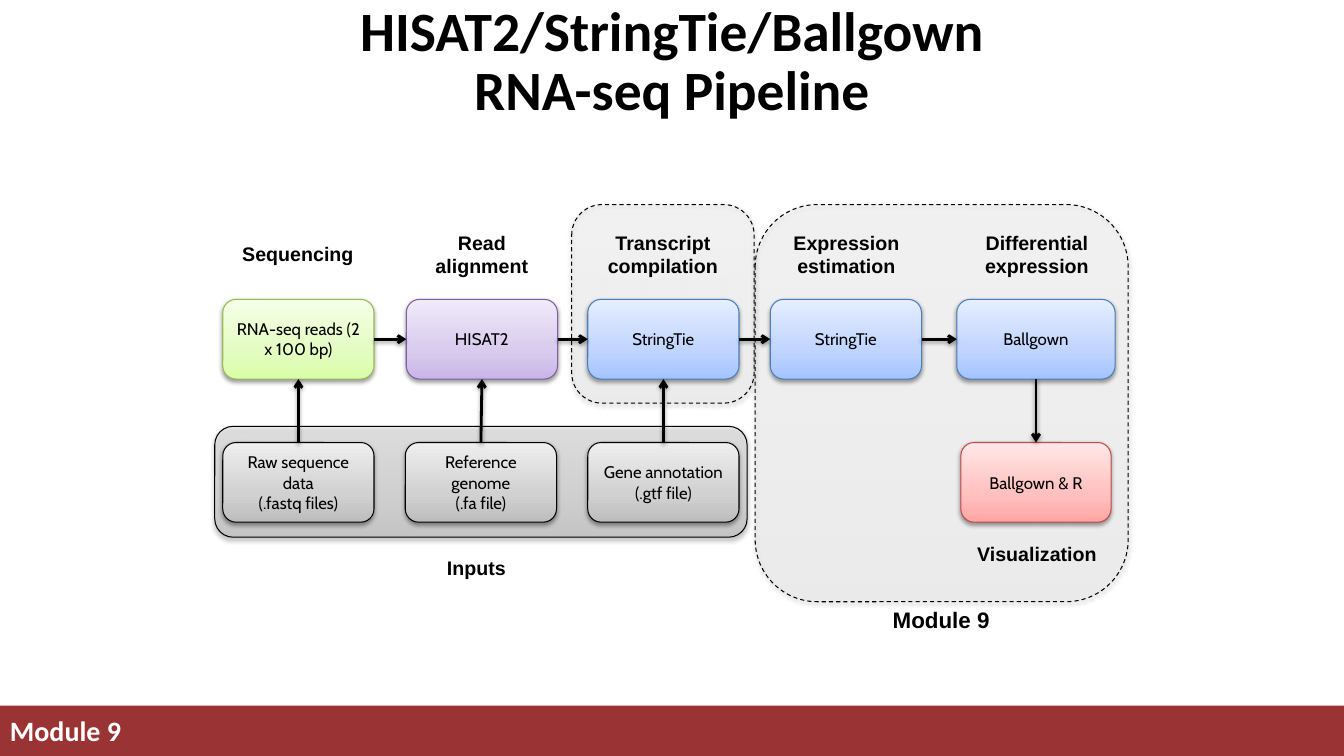
"""Build the RNA-seq pipeline slide with its stages, inputs and module frames."""
from lxml import etree
from pptx import Presentation
from pptx.dml.color import RGBColor
from pptx.enum.dml import MSO_LINE
from pptx.enum.shapes import MSO_CONNECTOR, MSO_SHAPE
from pptx.enum.text import MSO_ANCHOR, MSO_AUTO_SIZE, PP_ALIGN
from pptx.oxml import parse_xml
from pptx.oxml.ns import nsdecls, qn
from pptx.util import Inches, Pt

BLACK = RGBColor(0x00, 0x00, 0x00)
WHITE = RGBColor(0xFF, 0xFF, 0xFF)
MAROON = RGBColor(0x9A, 0x33, 0x34)
LIME = RGBColor(0x98, 0xB9, 0x55)
PLUM = RGBColor(0x7D, 0x60, 0xA0)
BLUE = RGBColor(0x4B, 0x7E, 0xBC)
RED = RGBColor(0xBF, 0x4C, 0x48)
TINTS = {
    BLACK: (RGBColor(0xBD, 0xBD, 0xBD), RGBColor(0xD1, 0xD1, 0xD1), RGBColor(0xEE, 0xEE, 0xEE)),
    LIME: (RGBColor(0xDA, 0xFD, 0xA7), RGBColor(0xE4, 0xFC, 0xC2), RGBColor(0xF5, 0xFF, 0xE7)),
    PLUM: (RGBColor(0xC9, 0xB5, 0xE8), RGBColor(0xD8, 0xCB, 0xEE), RGBColor(0xF0, 0xEA, 0xF9)),
    BLUE: (RGBColor(0xA4, 0xC4, 0xFF), RGBColor(0xBF, 0xD4, 0xFF), RGBColor(0xE6, 0xEE, 0xFF)),
    RED: (RGBColor(0xFF, 0xA6, 0xA5), RGBColor(0xFF, 0xC0, 0xBF), RGBColor(0xFF, 0xE7, 0xE7)),
}
SHADOW = (f'<a:effectLst {nsdecls("a")}><a:outerShdw blurRad="39370" dist="20320" dir="5400000" '
          'rotWithShape="0"><a:srgbClr val="000000"><a:alpha val="38000"/></a:srgbClr>'
          '</a:outerShdw></a:effectLst>')

deck = Presentation()
deck.slide_width, deck.slide_height = Inches(13.33), Inches(7.5)
slide = deck.slides.add_slide(deck.slide_layouts[5])
shapes = slide.shapes


def add_box(left, top, width, height, color, text="", alpha=100):
    box = shapes.add_shape(MSO_SHAPE.ROUNDED_RECTANGLE, Inches(left), Inches(top),
                           Inches(width), Inches(height))
    box.line.color.rgb = color
    box.line.width = Pt(0.75)
    stops = "".join(f'<a:gs pos="{pos}"><a:srgbClr val="{tint}"><a:alpha val="{alpha * 1000}"/>'
                    '</a:srgbClr></a:gs>' for pos, tint in zip((0, 35000, 100000), TINTS[color]))
    box.get_or_add_ln().addprevious(parse_xml(
        f'<a:gradFill {nsdecls("a")} rotWithShape="1"><a:gsLst>{stops}</a:gsLst>'
        '<a:lin ang="16200000" scaled="0"/></a:gradFill>'))
    box.element.spPr.append(parse_xml(SHADOW))
    frame = box.text_frame
    frame.word_wrap = True
    frame.vertical_anchor = MSO_ANCHOR.MIDDLE
    frame.text = text
    for para in frame.paragraphs:
        para.alignment = PP_ALIGN.CENTER
        para.font.name, para.font.size, para.font.color.rgb = "Cabin", Pt(12), BLACK
    return box


def add_label(left, top, width, height, text, size=14, wrap=True):
    label = shapes.add_textbox(Inches(left), Inches(top), Inches(width), Inches(height))
    label.text_frame.word_wrap = wrap
    label.text_frame.text = text
    para = label.text_frame.paragraphs[0]
    para.alignment = PP_ALIGN.CENTER
    font = para.runs[0].font
    font.name, font.size, font.bold, font.color.rgb = "Arial", Pt(size), True, BLACK
    return para


band = shapes.add_shape(MSO_SHAPE.RECTANGLE, 0, Inches(7), Inches(13.33), Inches(0.5))
band.fill.solid()
band.fill.fore_color.rgb = MAROON
band.line.fill.background()
band.shadow.inherit = False

footer = add_label(0, 7.03, 7.33, 0.43, "Module 9", 20)
footer.alignment = PP_ALIGN.LEFT
footer.runs[0].font.name = "Calibri"
footer.runs[0].font.color.rgb = WHITE

title = shapes.title
title.left, title.top, title.width, title.height = Inches(1.83), 0, Inches(9.67), Inches(1.25)
title.text_frame.text = "HISAT2/StringTie/Ballgown\vRNA-seq Pipeline"
title.text_frame.auto_size = MSO_AUTO_SIZE.NONE
title.text_frame.vertical_anchor = MSO_ANCHOR.MIDDLE
heading = title.text_frame.paragraphs[0]
heading.alignment = PP_ALIGN.CENTER
heading.line_spacing = 0.9
for run in heading.runs:
    font = run.font
    font.name, font.size, font.bold, font.color.rgb = "Calibri", Pt(39.6), True, BLACK

for left, width, height in ((5.67, 1.81, 1.97), (7.49, 3.7, 3.94)):
    area = add_box(left, 2.03, width, height, BLACK, alpha=13)
    area.line.dash_style = MSO_LINE.DASH
add_label(8.75, 5.96, 1.17, 0.37, "Module 9", 16, False)
add_box(2.13, 4.23, 5.28, 1.1, BLACK, alpha=51)

stages = [add_box(left, 2.97, width, 0.79, color, text) for left, width, color, text in (
    (2.21, 1.5, LIME, "RNA-seq reads (2 x 100 bp)"),
    (4.03, 1.5, PLUM, "HISAT2"),
    (5.83, 1.5, BLUE, "StringTie"),
    (7.64, 1.5, BLUE, "StringTie"),
    (9.49, 1.57, BLUE, "Ballgown"),
)]
result = add_box(9.53, 4.39, 1.49, 0.79, RED, "Ballgown & R")
inputs = [add_box(left, 4.39, 1.5, 0.79, BLACK, text) for left, text in (
    (2.21, "Raw sequence data\n(.fastq files)"),
    (4.02, "Reference genome\n(.fa file)"),
    (5.83, "Gene annotation\n(.gtf file)"),
)]

add_label(2.3, 2.35, 1.31, 0.34, "Sequencing", wrap=False)
for left, width, text in ((4.1, 1.36, "Read alignment"), (5.67, 1.81, "Transcript compilation"),
                          (7.49, 1.81, "Expression estimation"),
                          (9.38, 1.81, "Differential expression")):
    add_label(left, 2.24, width, 0.57, text)
add_label(9.38, 5.33, 1.81, 0.34, "Visualization")
add_label(4.33, 5.47, 0.79, 0.34, "Inputs", wrap=False)

links = [(start, 3, end, 1) for start, end in zip(stages, stages[1:])]
links.append((stages[-1], 2, result, 0))
links += [(start, 0, end, 2) for start, end in zip(inputs, stages)]
for start, out, end, into in links:
    arrow = shapes.add_connector(MSO_CONNECTOR.STRAIGHT, 0, 0, 0, 0)
    arrow.begin_connect(start, out)
    arrow.end_connect(end, into)
    arrow.line.color.rgb = BLACK
    arrow.line.width = Pt(2)
    etree.SubElement(arrow.get_or_add_ln(), qn("a:tailEnd"), type="arrow")
    arrow.element.spPr.append(parse_xml(SHADOW))

deck.save("out.pptx")
